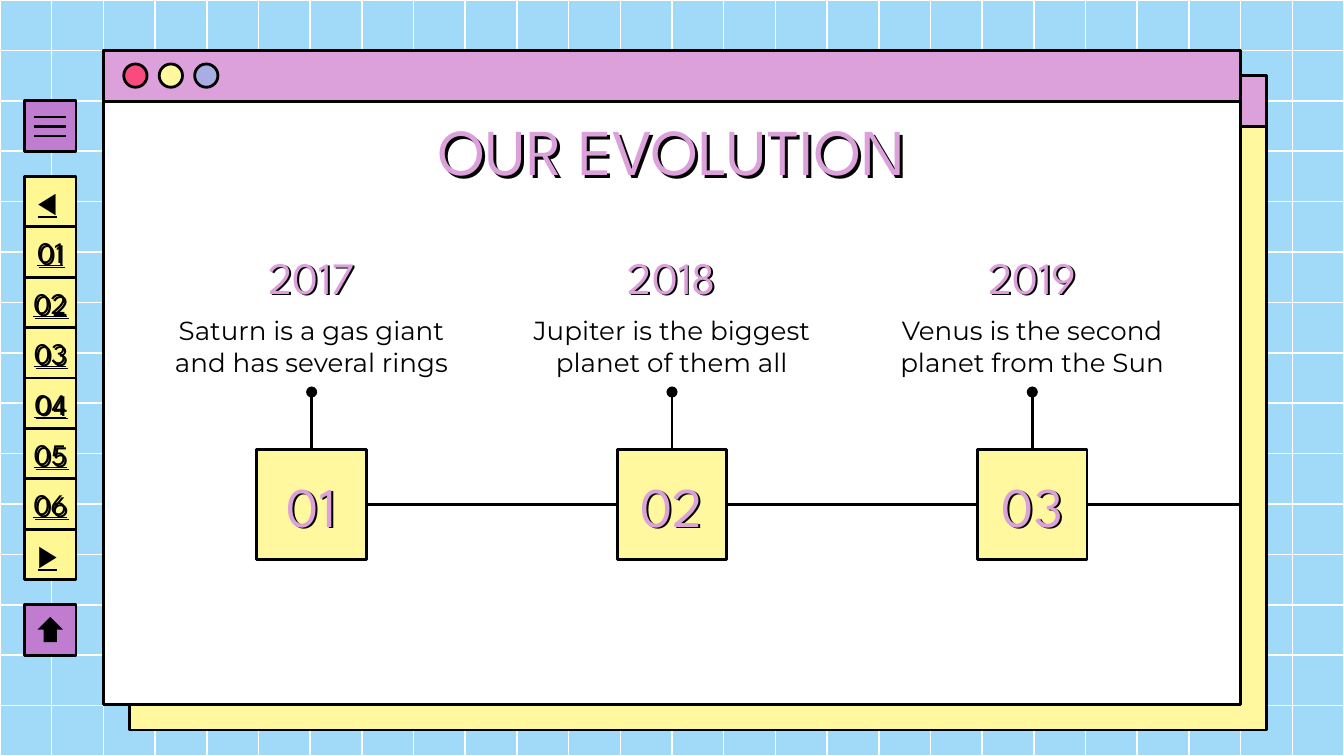
import pptx
import pptx.dml.color
import pptx.enum.shapes
import pptx.enum.text
import pptx.oxml
import pptx.oxml.ns
import pptx.util
from pptx.util import Cm

RGBColor = pptx.dml.color.RGBColor
BLACK = RGBColor(0x00, 0x00, 0x00)
WHITE = RGBColor(0xFF, 0xFF, 0xFF)
SKY = RGBColor(0xA0, 0xDA, 0xF8)
YELLOW = RGBColor(0xFF, 0xF8, 0x9E)
BUTTON_YELLOW = RGBColor(0xFF, 0xF7, 0x94)
PINK = RGBColor(0xDC, 0xA1, 0xDB)
PURPLE = RGBColor(0xC0, 0x7D, 0xCF)
RED = RGBColor(0xFA, 0x4B, 0x7E)
BLUE = RGBColor(0xA8, 0xAD, 0xE4)

HEADING_FONT = "League Spartan"
BODY_FONT = "Montserrat"
NAMESPACE = pptx.oxml.ns.nsdecls("a")
SHAPES = pptx.enum.shapes.MSO_SHAPE
STRAIGHT = pptx.enum.shapes.MSO_CONNECTOR.STRAIGHT
ALIGN = pptx.enum.text.PP_ALIGN
ANCHOR = pptx.enum.text.MSO_ANCHOR

# The whole layout sits on a grid of 26 columns and 15 rows
WIDTH, HEIGHT = 25.4, 14.29
COLUMNS, ROWS = 26, 15
column, row = WIDTH / COLUMNS, HEIGHT / ROWS


def style_shape(shape, fill=None, line=BLACK, line_width=1.5):
    """Set fill and line, and switch the theme shadow off."""
    if fill is not None:
        shape.fill.solid()
        shape.fill.fore_color.rgb = fill
    if line is None:
        shape.line.fill.background()
    else:
        shape.line.color.rgb = line
        shape.line.width = pptx.util.Pt(line_width)
    shape._element.spPr.append(pptx.oxml.parse_xml(f"<a:effectLst {NAMESPACE}/>"))


def write_text(shape, text, size, font=HEADING_FONT, color=PINK, align=ALIGN.CENTER,
               anchor=ANCHOR.MIDDLE, side_inset=0, underline=None, shadow=0):
    """Write one run; shadow is the distance in points of a hard black shadow."""
    frame = shape.text_frame
    frame.word_wrap = True
    frame.vertical_anchor = anchor
    frame.margin_left = frame.margin_right = Cm(side_inset)
    frame.margin_top = frame.margin_bottom = Cm(0.25)
    paragraph = frame.paragraphs[0]
    paragraph.alignment = align
    run = paragraph.add_run()
    run.text = text
    run.font.size = pptx.util.Pt(size)
    run.font.color.rgb = color
    run.font.name = font
    run.font.underline = underline
    if shadow:
        shape._element.spPr.append(pptx.oxml.parse_xml(
            f'<a:effectLst {NAMESPACE}><a:outerShdw dist="{pptx.util.Pt(shadow)}" dir="2700000" '
            'algn="bl" rotWithShape="0"><a:srgbClr val="000000"/></a:outerShdw></a:effectLst>'))


presentation = pptx.Presentation()
presentation.slide_width, presentation.slide_height = Cm(WIDTH), Cm(HEIGHT)
slide = presentation.slides.add_slide(presentation.slide_layouts[6])
shapes = slide.shapes
slide.background.fill.solid()
slide.background.fill.fore_color.rgb = SKY

# Background grid with its frame
frame_box = shapes.add_shape(SHAPES.RECTANGLE, 0, 0, Cm(WIDTH), Cm(HEIGHT))
style_shape(frame_box, SKY, line=WHITE, line_width=0.81)
for i in range(1, ROWS):
    grid_line = shapes.add_connector(STRAIGHT, 0, Cm(i * row), Cm(WIDTH), Cm(i * row))
    style_shape(grid_line, line=WHITE, line_width=0.81)
for i in range(1, COLUMNS):
    grid_line = shapes.add_connector(STRAIGHT, Cm(i * column), 0, Cm(i * column), Cm(HEIGHT))
    style_shape(grid_line, line=WHITE, line_width=0.81)

# Back and front windows, each with a title bar
for left, top, fill in [(2.5, 1.5, YELLOW), (2, 1, WHITE)]:
    for height, color in [(12.37, fill), (0.97, PINK)]:
        panel = shapes.add_shape(SHAPES.RECTANGLE, Cm(left * column), Cm(top * row),
                                 Cm(22 * column), Cm(height))
        style_shape(panel, color)

# Window buttons
for i, color in enumerate([RED, YELLOW, BLUE]):
    button = shapes.add_shape(SHAPES.OVAL, Cm(2.34 + i * 0.67), Cm(1.21), Cm(0.44), Cm(0.44))
    style_shape(button, color)

# Title
title = shapes.add_textbox(Cm(2), Cm(2 * row), Cm(21.41), Cm(2 * row))
write_text(title, "OUR EVOLUTION", size=35, anchor=ANCHOR.BOTTOM, side_inset=0.25, shadow=2.25)

# Timeline
box_size, axis = 2.07, 9.54
box_top = axis - box_size / 2
axis_line = shapes.add_connector(STRAIGHT, Cm(6 * column), Cm(axis), Cm(24 * column), Cm(axis))
style_shape(axis_line)

milestones = [
    ("01", "2017", "Saturn is a gas giant and has several rings"),
    ("02", "2018", "Jupiter is the biggest planet of them all"),
    ("03", "2019", "Venus is the second planet from the Sun"),
]
for i, (number, year, description) in enumerate(milestones):
    center = WIDTH / 2 + (i - 1) * 6.81
    text_left = Cm(center - 3 * column)
    text_width = Cm(6 * column)

    year_box = shapes.add_textbox(text_left, Cm(4.75), text_width, Cm(0.94))
    write_text(year_box, year, size=24, shadow=1.5)
    description_box = shapes.add_textbox(text_left, Cm(5.7), text_width, Cm(1.7))
    write_text(description_box, description, size=14, font=BODY_FONT, color=BLACK,
               anchor=ANCHOR.TOP)

    box_left = Cm(center - box_size / 2)
    box = shapes.add_shape(SHAPES.RECTANGLE, box_left, Cm(box_top), Cm(box_size), Cm(box_size))
    style_shape(box, YELLOW)
    number_box = shapes.add_textbox(box_left, Cm(axis - 0.61), Cm(box_size), Cm(1.22))
    write_text(number_box, number, size=30, side_inset=0.25, shadow=1.5)

    pin = shapes.add_connector(STRAIGHT, Cm(center), Cm(box_top), Cm(center), Cm(7.41))
    style_shape(pin)
    pin.line._get_or_add_ln().append(
        pptx.oxml.parse_xml(f'<a:tailEnd {NAMESPACE} type="oval"/>'))

# Side navigation: menu, pages and home, placed by row
nav_left = 0.46
buttons = [(2, "", PURPLE), (12, "", PURPLE)]
for i, label in enumerate(["◀", "01", "02", "03", "04", "05", "06", "▶"]):
    buttons.append((3.5 + i, label, BUTTON_YELLOW))
for top, label, color in buttons:
    button = shapes.add_shape(SHAPES.RECTANGLE, Cm(nav_left), Cm(top * row), Cm(column), Cm(row))
    style_shape(button, color)
    if label.isdigit():
        label_box = shapes.add_textbox(Cm(nav_left), Cm(top * row + 0.17), Cm(column), Cm(0.61))
        write_text(label_box, label, size=16, color=BLACK, underline=True, shadow=1.5)
    elif label:
        write_text(button, label, size=16, font="Arial", color=BLACK, align=ALIGN.LEFT,
                   side_inset=0.25, underline=True)

# Menu and home icons
for i in range(3):
    y = Cm(2.21 + i * 0.18)
    menu_line = shapes.add_connector(STRAIGHT, Cm(0.64), y, Cm(1.24), y)
    style_shape(menu_line)
home_arrow = shapes.add_shape(SHAPES.UP_ARROW, Cm(0.71), Cm(11.66), Cm(0.48), Cm(0.48))
home_arrow.adjustments[0] = 0.52
home_arrow.adjustments[1] = 0.5
style_shape(home_arrow, BLACK, line=None)

presentation.save("out.pptx")
